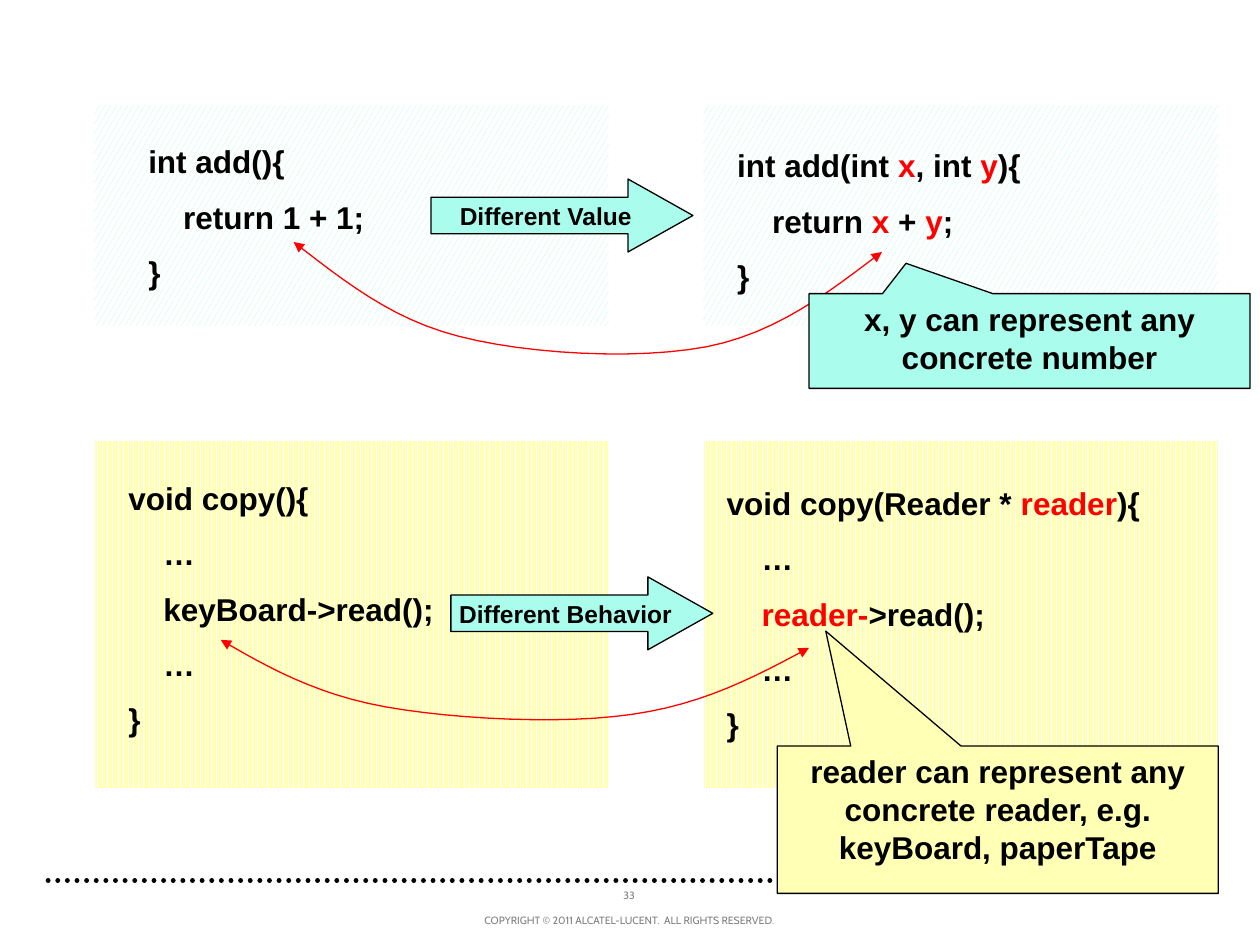
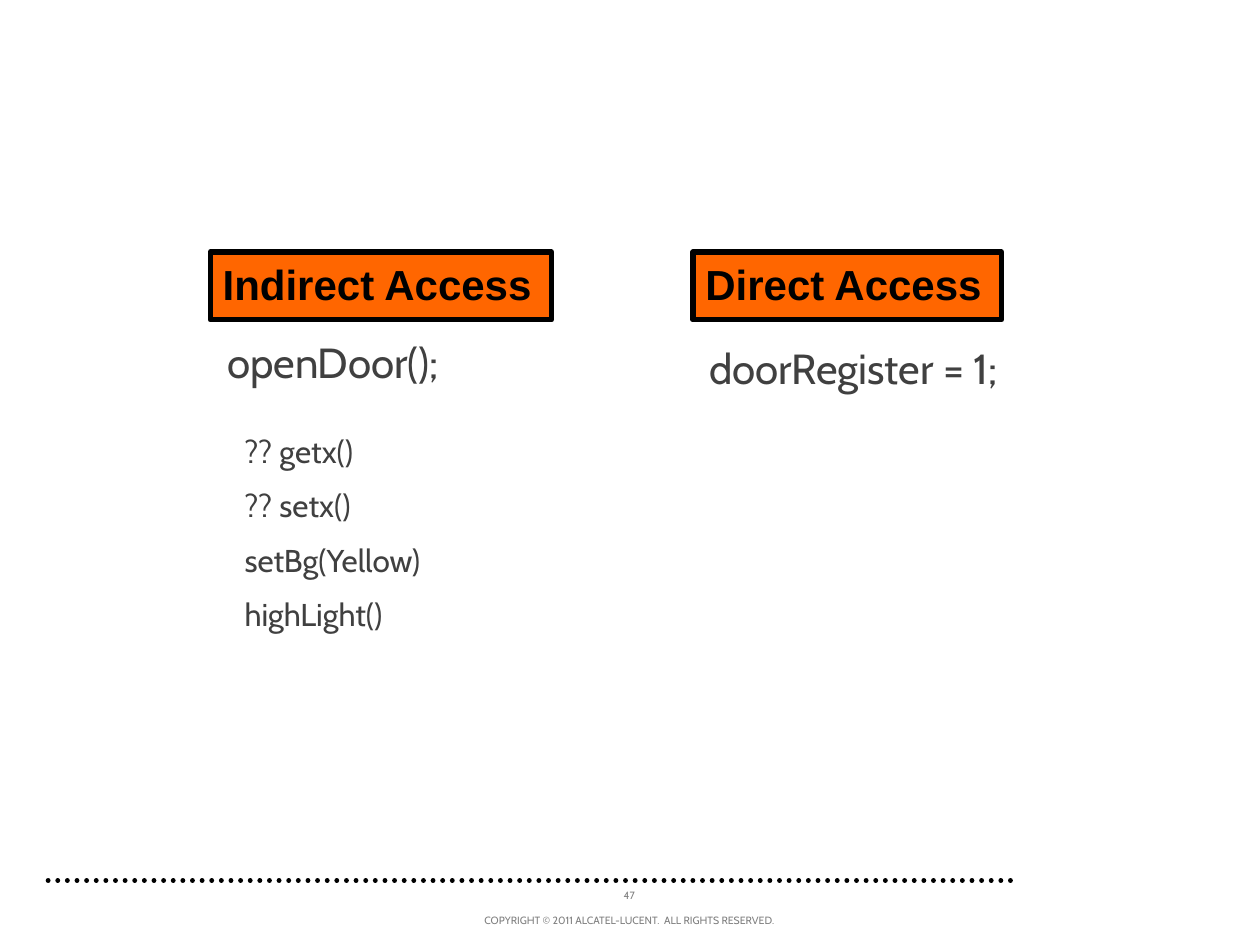
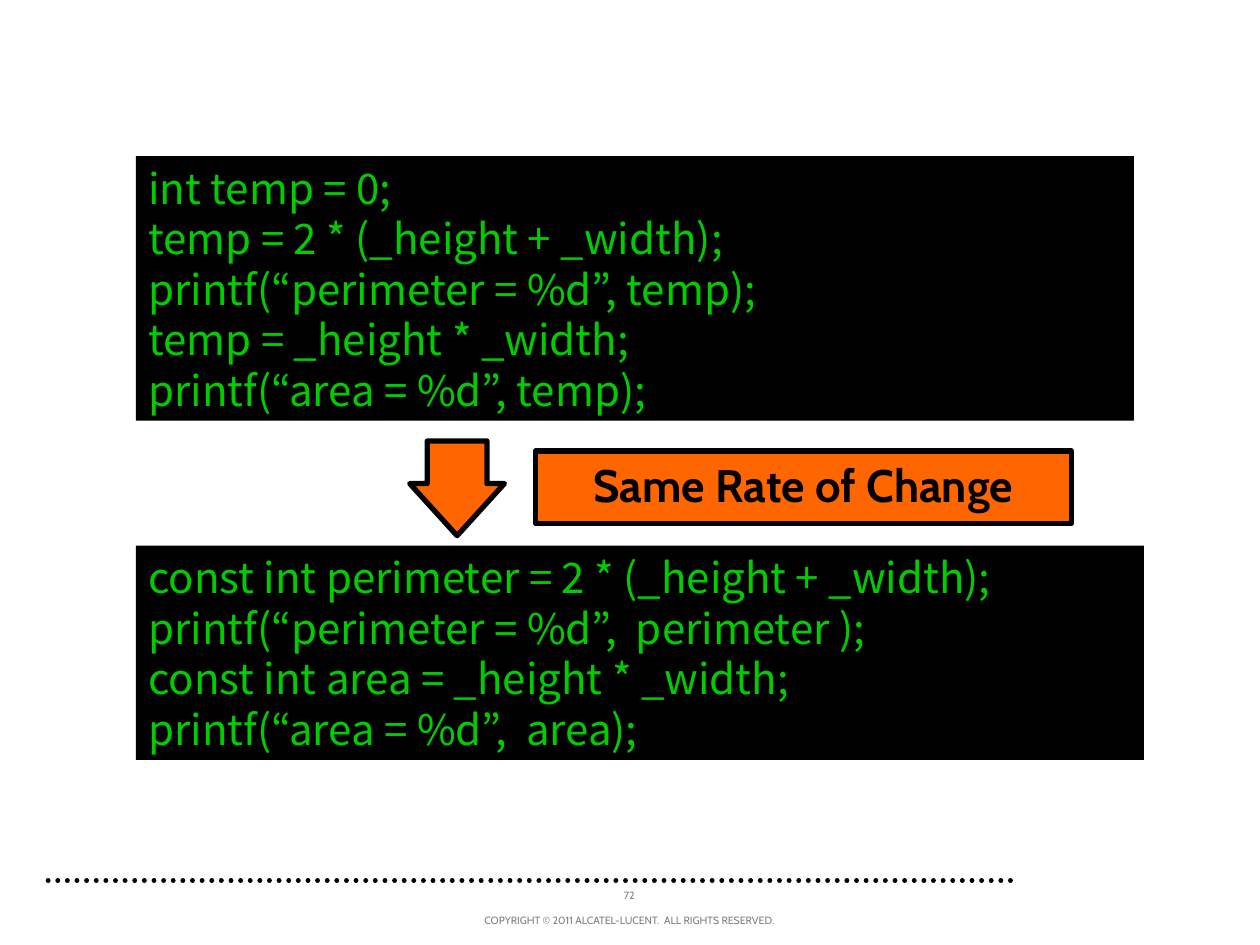
from dataclasses import dataclass

import pptx
import pptx.dml.color
import pptx.enum.dml
import pptx.enum.shapes
import pptx.enum.text
import pptx.oxml
import pptx.oxml.ns
import pptx.util
from lxml import etree

RGBColor = pptx.dml.color.RGBColor
Cm = pptx.util.Cm
Pt = pptx.util.Pt
SHAPE = pptx.enum.shapes.MSO_SHAPE
ALIGN = pptx.enum.text.PP_ALIGN
ANCHOR = pptx.enum.text.MSO_ANCHOR
PATTERN = pptx.enum.dml.MSO_PATTERN

BLACK = RGBColor(0x00, 0x00, 0x00)
WHITE = RGBColor(0xFF, 0xFF, 0xFF)
RED = RGBColor(0xFF, 0x00, 0x00)
AQUA = RGBColor(0xAA, 0xFC, 0xEC)
YELLOW = RGBColor(0xFF, 0xFF, 0xB5)
ORANGE = RGBColor(0xFF, 0x66, 0x00)
GREEN = RGBColor(0x00, 0xCC, 0x00)
BODY_GREY = RGBColor(0x40, 0x40, 0x40)
NUMBER_GREY = RGBColor(0x80, 0x80, 0x80)
COPYRIGHT_GREY = RGBColor(0x7F, 0x7F, 0x7F)

ARIAL = "Arial"
CABIN = "Cabin"
CODE_FONT = "Noto Sans CJK KR"
COPYRIGHT = "COPYRIGHT © 2011 ALCATEL-LUCENT.  ALL RIGHTS RESERVED."
DEFAULT_INSETS = (0.25, 0.13, 0.25, 0.13)
BODY_INSETS = (0.13, 0, 0, 0)
CURVE_STEPS = 12

Point = tuple[float, float]


@dataclass(frozen=True)
class Box:
    x: float
    y: float
    w: float
    h: float

    def lengths(self) -> tuple:
        return Cm(self.x), Cm(self.y), Cm(self.w), Cm(self.h)


@dataclass(frozen=True)
class CodePanel:
    panel: Box
    text: Box
    pattern: PATTERN
    color: RGBColor
    code: tuple[str, ...]


@dataclass(frozen=True)
class Label:
    kind: SHAPE
    box: Box
    adjustments: tuple[float, float]
    fill: RGBColor
    text: str
    size: float
    wrap: bool
    anchor: ANCHOR


LEFT_X, RIGHT_X = 1.9, 14.18
TOP_Y, BOTTOM_Y = 2.12, 8.89
PANEL_W, TOP_H, BOTTOM_H = 10.37, 4.45, 6.99

CODE_PANELS = (
    CodePanel(Box(LEFT_X, TOP_Y, PANEL_W, TOP_H), Box(2.74, 2.74, 6.99, 3.3),
              PATTERN.LARGE_CONFETTI, AQUA,
              ("int add(){", "    return 1 + 1;", "}")),
    CodePanel(Box(LEFT_X, BOTTOM_Y, PANEL_W, BOTTOM_H), Box(2.34, 9.53, 6.99, 5.61),
              PATTERN.DARK_VERTICAL, YELLOW,
              ("void copy(){", "    …", "    keyBoard->read();", "    …", "}")),
    CodePanel(Box(RIGHT_X, TOP_Y, PANEL_W, TOP_H), Box(14.61, 2.82, 6.99, 3.3),
              PATTERN.LARGE_CONFETTI, AQUA,
              ("int add(int |x|, int |y|){", "    return |x| + |y|;", "}")),
    CodePanel(Box(RIGHT_X, BOTTOM_Y, PANEL_W, BOTTOM_H), Box(14.4, 9.63, 10.36, 5.61),
              PATTERN.DARK_VERTICAL, YELLOW,
              ("void copy(Reader * |reader|){", "    …", "    |reader-|>read();",
               "    …", "}")),
)


def arrow_label(x: float, y: float, text: str) -> Label:
    return Label(SHAPE.RIGHT_ARROW, Box(x, y, 5.28, 1.47), (0.5, 0.89), AQUA, text,
                 14, False, ANCHOR.MIDDLE)


def callout(box: Box, tip: Point, fill: RGBColor, text: str) -> Label:
    return Label(SHAPE.RECTANGULAR_CALLOUT, box, tip, fill, text, 18, True, ANCHOR.TOP)


ARROWS = (
    arrow_label(8.69, 3.61, "Different Value"),
    arrow_label(9.09, 11.63, "Different Behavior"),
)
CALLOUTS = (
    callout(Box(16.31, 5.92, 8.89, 1.91), (-0.28, -0.82), AQUA,
            "x, y can represent any concrete number"),
    callout(Box(15.67, 15.04, 8.89, 2.97), (-0.39, -1.28), YELLOW,
            "reader can represent any concrete reader, e.g. keyBoard, paperTape"),
)
VALUE_CURVE = (
    (5.92, 4.88), (6.91, 5.64), (7.87, 6.43), (9.25, 6.78), (10.64, 7.14),
    (12.83, 7.26), (14.25, 6.99), (15.67, 6.71), (16.71, 5.89), (17.78, 5.08),
)
BEHAVIOR_CURVE = (
    (4.45, 12.9), (5.41, 13.46), (6.38, 14), (7.77, 14.25), (9.17, 14.5),
    (11.35, 14.61), (12.75, 14.4), (14.17, 14.2), (15.24, 13.64), (16.31, 13.06),
)


def write(sp, text: str, *, size: float, font: str = ARIAL, color: RGBColor = BLACK,
          accent: RGBColor = RED, bold: bool = False, align: ALIGN = ALIGN.LEFT,
          anchor: ANCHOR = ANCHOR.TOP, wrap: bool = True, before: float = 0,
          after: float = 0, spacing: float | None = None,
          insets: tuple = DEFAULT_INSETS) -> None:
    tf = sp.text_frame
    tf.word_wrap = wrap
    tf.vertical_anchor = anchor
    tf.margin_left, tf.margin_top, tf.margin_right, tf.margin_bottom = map(Cm, insets)
    for i, line in enumerate(text.split("\n")):
        p = tf.paragraphs[0] if i == 0 else tf.add_paragraph()
        p.alignment = align
        p.space_before = Pt(before if i else 0)
        p.space_after = Pt(after)
        if spacing:
            p.line_spacing = Pt(spacing)
        for j, part in enumerate(line.split("|")):
            r = p.add_run()
            r.text = part
            r.font.name = font
            r.font.size = Pt(size)
            r.font.bold = bold
            r.font.color.rgb = accent if j % 2 else color


def add_text(s, box: Box, text: str, **style) -> None:
    write(s.shapes.add_textbox(*box.lengths()), text, **style)


def add_shape(s, kind: SHAPE, box: Box, fill: RGBColor, line_width: float = 0):
    sp = s.shapes.add_shape(kind, *box.lengths())
    sp.shadow.inherit = False
    sp.fill.solid()
    sp.fill.fore_color.rgb = fill
    if line_width:
        sp.line.color.rgb = BLACK
        sp.line.width = Pt(line_width)
    else:
        sp.line.fill.background()
    return sp


def add_code_panel(s, item: CodePanel) -> None:
    sp = add_shape(s, SHAPE.RECTANGLE, item.panel, WHITE)
    sp.fill.patterned()
    sp.fill.pattern = item.pattern
    sp.fill.fore_color.rgb = item.color
    sp.fill.back_color.rgb = WHITE
    add_text(s, item.text, "\n".join(item.code), size=18, bold=True, before=10)


def add_label(s, item: Label) -> None:
    sp = add_shape(s, item.kind, item.box, item.fill, 0.75)
    for i, value in enumerate(item.adjustments):
        sp.adjustments[i] = value
    write(sp, item.text, size=item.size, bold=True, align=ALIGN.CENTER,
          anchor=item.anchor, wrap=item.wrap)


def bezier(a: Point, b: Point, c: Point, d: Point) -> list[Point]:
    points = []
    for step in range(1, CURVE_STEPS + 1):
        t = step / CURVE_STEPS
        u = 1 - t
        weights = (u ** 3, 3 * u * u * t, 3 * u * t * t, t ** 3)
        x, y = (sum(w * q[axis] for w, q in zip(weights, (a, b, c, d))) for axis in (0, 1))
        points.append((Cm(x), Cm(y)))
    return points


def add_curve(s, controls: tuple[Point, ...]) -> None:
    x, y = controls[0]
    builder = s.shapes.build_freeform(Cm(x), Cm(y))
    for i in range(0, len(controls) - 1, 3):
        builder.add_line_segments(bezier(*controls[i:i + 4]), close=False)
    sp = builder.convert_to_shape()
    sp.shadow.inherit = False
    sp.fill.background()
    sp.line.color.rgb = RED
    sp.line.width = Pt(0.75)
    ln = sp.line._get_or_add_ln()
    for end in ("a:headEnd", "a:tailEnd"):
        etree.SubElement(ln, pptx.oxml.ns.qn(end), type="triangle")


def add_slide(prs, number: int):
    s = prs.slides.add_slide(prs.slide_layouts[6])
    rule = s.shapes.add_connector(pptx.enum.shapes.MSO_CONNECTOR.STRAIGHT,
                                  Cm(20.37), Cm(17.75), Cm(0.86), Cm(17.75))
    rule.line.color.rgb = BLACK
    rule.line.width = Pt(2.75)
    rule.line.dash_style = pptx.enum.dml.MSO_LINE.ROUND_DOT
    rule.line._get_or_add_ln().set("cap", "rnd")
    etree.SubElement(rule._element.spPr, pptx.oxml.ns.qn("a:effectLst"))
    add_text(s, Box(12.01, 17.65, 1.35, 0.66), str(number), size=6, font=CABIN,
             color=NUMBER_GREY, align=ALIGN.CENTER, anchor=ANCHOR.BOTTOM)
    add_text(s, Box(3.78, 18.29, 17.81, 0.64), COPYRIGHT, size=6, font=CABIN,
             color=COPYRIGHT_GREY, align=ALIGN.CENTER)
    return s


def build_parameters(prs) -> None:
    s = add_slide(prs, 33)
    for panel in CODE_PANELS:
        add_code_panel(s, panel)
    for arrow in ARROWS:
        add_label(s, arrow)
    add_curve(s, VALUE_CURVE)
    for item in CALLOUTS:
        add_label(s, item)
    add_curve(s, BEHAVIOR_CURVE)


def build_access(prs) -> None:
    s = add_slide(prs, 47)
    for x, width, heading in ((4.24, 6.88, "Indirect Access"), (13.97, 6.22, "Direct Access")):
        sp = add_shape(s, SHAPE.RECTANGLE, Box(x, 5.08, width, 1.37), ORANGE, 3)
        write(sp, heading, size=24, bold=True, wrap=False)
    for box, text, size in (
        (Box(4.8, 8.71, 7.7, 6.78), "?? getx()\n?? setx()\nsetBg(Yellow)\nhighLight()", 18),
        (Box(4.45, 6.78, 4.88, 1.91), "openDoor();", 24),
        (Box(14.17, 6.91, 6.78, 1.35), "doorRegister = 1;", 24),
    ):
        add_text(s, box, text, size=size, font=CABIN, color=BODY_GREY,
                 before=3.5, after=6, insets=BODY_INSETS)


def build_rate_of_change(prs) -> None:
    s = add_slide(prs, 72)
    title = add_shape(s, SHAPE.RECTANGLE, Box(10.8, 9.09, 10.8, 1.47), ORANGE, 3)
    write(title, "Same Rate of Change", size=26, font=CABIN, bold=True, align=ALIGN.CENTER)
    for box, code in (
        (Box(2.74, 11, 20.32, 4.32),
         ("const int perimeter = 2 * (_height + _width);",
          "printf(“perimeter = %d”,  perimeter );",
          "const int area = _height * _width;",
          "printf(“area = %d”,  area);")),
        (Box(2.74, 3.15, 20.12, 5.33),
         ("int temp = 0;",
          "temp = 2 * (_height + _width);",
          "printf(“perimeter = %d”, temp);",
          "temp = _height * _width;",
          "printf(“area = %d”, temp);")),
    ):
        sp = add_shape(s, SHAPE.RECTANGLE, box, BLACK)
        write(sp, "\n".join(code), size=24, font=CODE_FONT, color=GREEN,
              anchor=ANCHOR.MIDDLE, spacing=28.8)
    arrow = add_shape(s, SHAPE.DOWN_ARROW, Box(8.26, 8.89, 1.91, 1.91), ORANGE, 3)
    arrow.adjustments[0] = 0.63
    arrow.adjustments[1] = 0.55


def main() -> None:
    prs = pptx.Presentation()
    prs.slide_width, prs.slide_height = Cm(25.4), Cm(19.05)
    build_parameters(prs)
    build_access(prs)
    build_rate_of_change(prs)
    prs.save("out.pptx")


if __name__ == "__main__":
    main()
